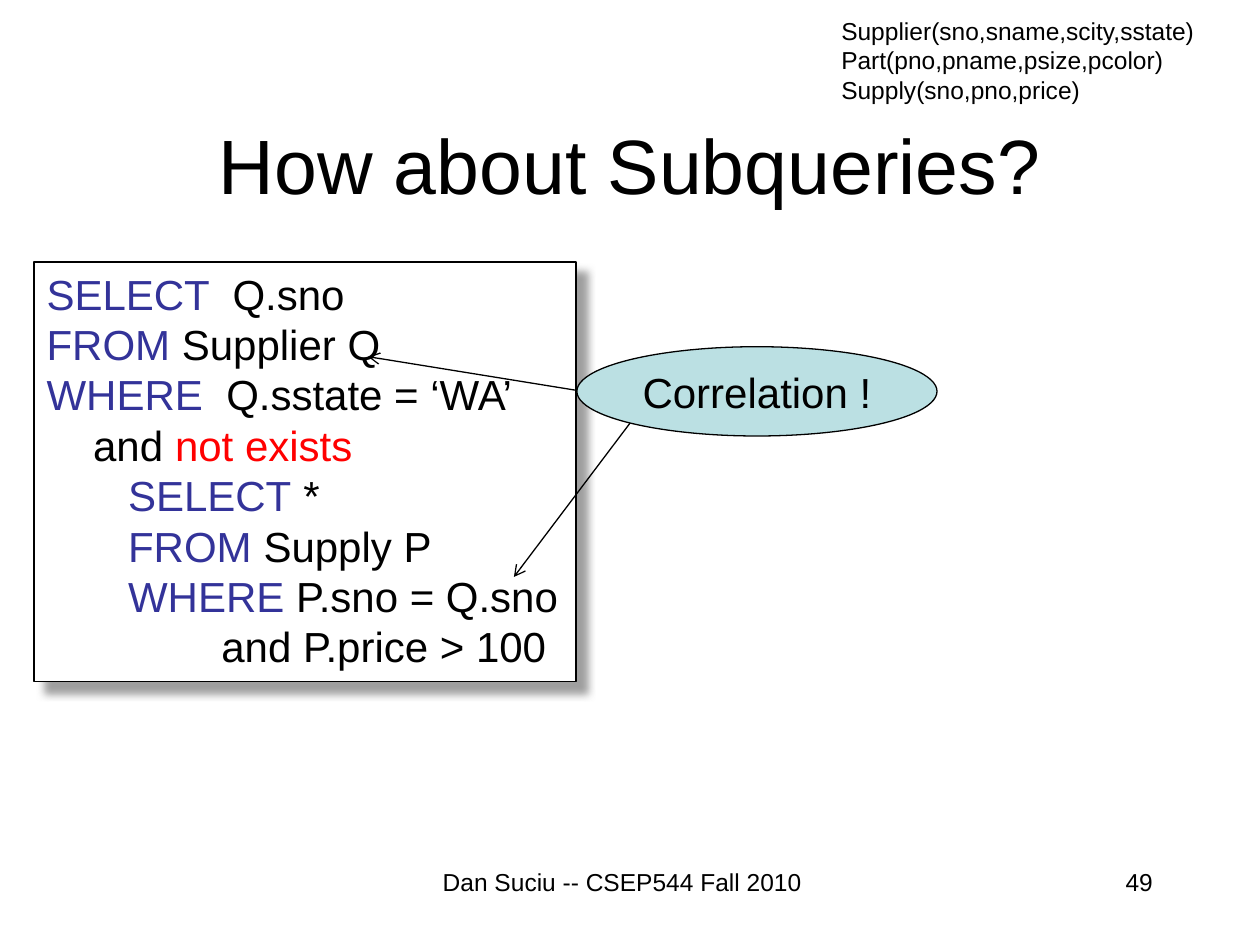
from lxml.etree import SubElement
from pptx import Presentation
from pptx.dml.color import RGBColor
from pptx.enum.shapes import MSO_CONNECTOR, MSO_SHAPE
from pptx.enum.text import MSO_ANCHOR, PP_ALIGN
from pptx.oxml.ns import qn
from pptx.util import Cm, Pt

COLORS = {
    "text": "000000",
    "keyword": "333399",
    "highlight": "FF0000",
    "paper": "FFFFFF",
    "callout": "BBE0E3",
    "shadow": "808080",
}


def color(name):
    return RGBColor.from_string(COLORS[name])


def write(shape, lines, size, align=PP_ALIGN.LEFT, wrap=False):
    """Fill a shape with lines, each a list of (text, color name) spans."""
    frame = shape.text_frame
    frame.word_wrap = wrap
    for number, spans in enumerate(lines):
        para = frame.add_paragraph() if number else frame.paragraphs[0]
        para.alignment = align
        for text, color_name in spans:
            span = para.add_run()
            span.text = text
            span.font.name = "Arial"
            span.font.size = Pt(size)
            span.font.color.rgb = color(color_name)


deck = Presentation()
deck.slide_width, deck.slide_height = Cm(25.4), Cm(19.05)
page = deck.slides.add_slide(deck.slide_layouts[5])

# Title
title = page.shapes.title
title.left, title.top, title.width, title.height = Cm(1.9), Cm(1.7), Cm(21.6), Cm(3.18)
title.text_frame.vertical_anchor = MSO_ANCHOR.MIDDLE
write(title, [[("How about Subqueries?", "text")]], 44, PP_ALIGN.CENTER, True)

# Query and callout
query = page.shapes.add_shape(MSO_SHAPE.RECTANGLE, Cm(0.69), Cm(5.28), Cm(10.92), Cm(8.46))
callout = page.shapes.add_shape(
    MSO_SHAPE.FLOWCHART_CONNECTOR, Cm(11.63), Cm(6.99), Cm(7.26), Cm(1.8)
)
for shape, fill, width in ((query, "paper", 1), (callout, "callout", 0.75)):
    shape.shadow.inherit = False
    shape.fill.solid()
    shape.fill.fore_color.rgb = color(fill)
    shape.line.color.rgb = color("text")
    shape.line.width = Pt(width)
    shape.text_frame.vertical_anchor = MSO_ANCHOR.MIDDLE

effects = query._element.spPr.find(qn("a:effectLst"))
shadow = SubElement(
    effects, qn("a:outerShdw"),
    blurRad=str(Pt(5)), dist=str(Pt(8.5)), dir=str(45 * 60000), rotWithShape="0",
)
shadow_color = SubElement(shadow, qn("a:srgbClr"), val=COLORS["shadow"])
SubElement(shadow_color, qn("a:alpha"), val="75000")

query.text_frame.vertical_anchor = MSO_ANCHOR.TOP
write(query, [
    [("SELECT  ", "keyword"), ("Q.sno", "text")],
    [("FROM", "keyword"), (" Supplier Q", "text")],
    [("WHERE  ", "keyword"), ("Q.sstate = ‘WA’", "text")],
    [("    and ", "text"), ("not exists", "highlight")],
    [("       SELECT", "keyword"), (" *", "text")],
    [("       FROM", "keyword"), (" Supply P", "text")],
    [("       WHERE ", "keyword"), ("P.sno = Q.sno", "text")],
    [("               and P.price > 100", "text")],
], 24)
write(callout, [[("Correlation !", "text")]], 24, PP_ALIGN.CENTER)

# Arrows from the callout to both uses of Q
for start_x, start_y, end_x, end_y in (
    (11.63, 7.87, 7.42, 7.19),
    (12.7, 8.53, 10.36, 11.63),
):
    arrow = page.shapes.add_connector(
        MSO_CONNECTOR.STRAIGHT, Cm(start_x), Cm(start_y), Cm(end_x), Cm(end_y)
    )
    arrow.line.color.rgb = color("text")
    arrow.line.width = Pt(0.75)
    SubElement(arrow.line._get_or_add_ln(), qn("a:tailEnd"), type="arrow")
    SubElement(arrow._element.spPr, qn("a:effectLst"))

# Schema, footer and page number
schema = ["Supplier(sno,sname,scity,sstate)", "Part(pno,pname,psize,pcolor)", "Supply(sno,pno,price)"]
for left, top, width, height, lines, align, wrap in (
    (16.71, 0.2, 7.67, 2.06, schema, PP_ALIGN.LEFT, False),
    (8.52, 17.35, 8.05, 1.27, ["Dan Suciu -- CSEP544 Fall 2010"], PP_ALIGN.CENTER, True),
    (18.21, 17.35, 5.28, 1.27, ["49"], PP_ALIGN.RIGHT, True),
):
    box = page.shapes.add_textbox(Cm(left), Cm(top), Cm(width), Cm(height))
    write(box, [[(line, "text")] for line in lines], 14, align, wrap)

deck.save("out.pptx")
